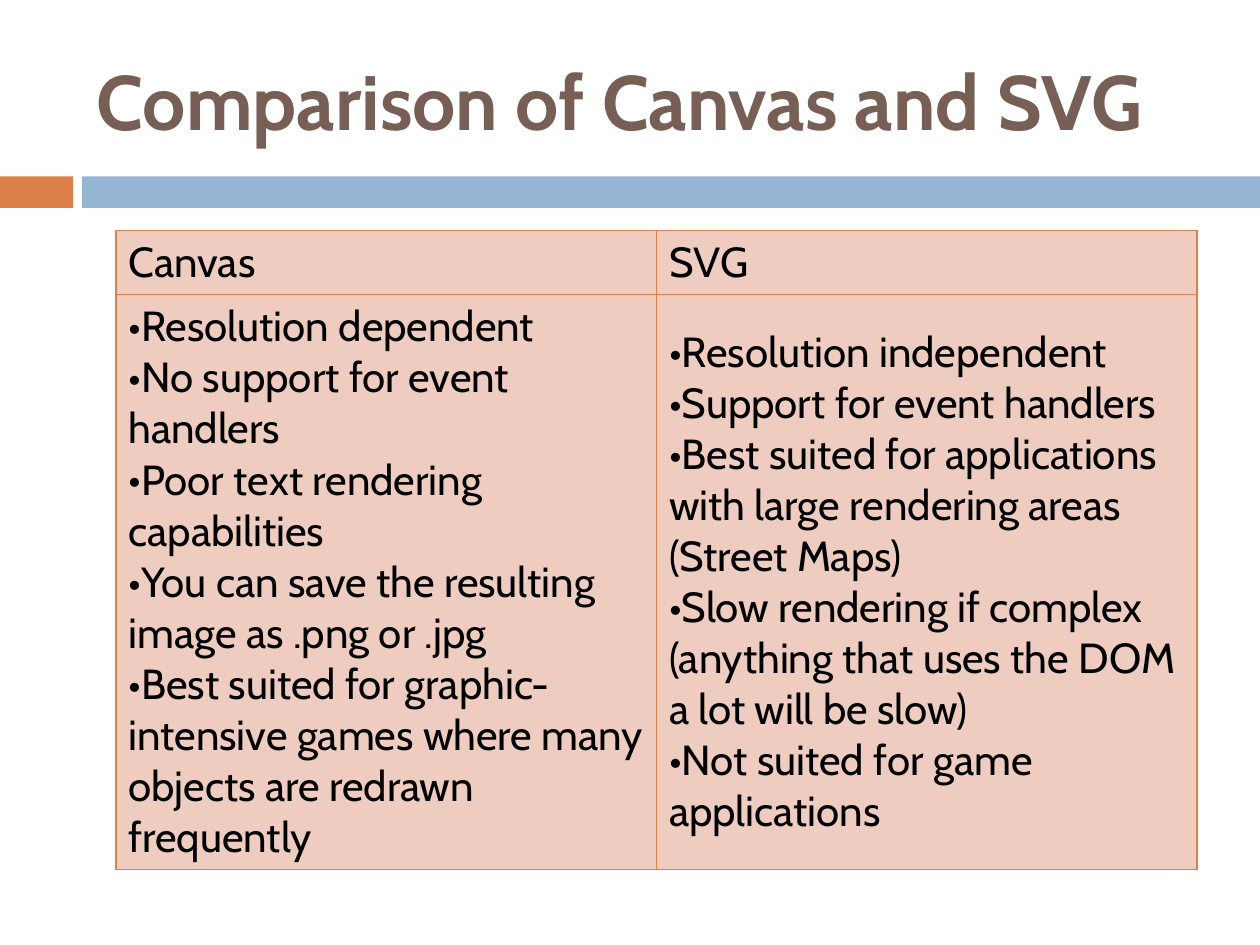
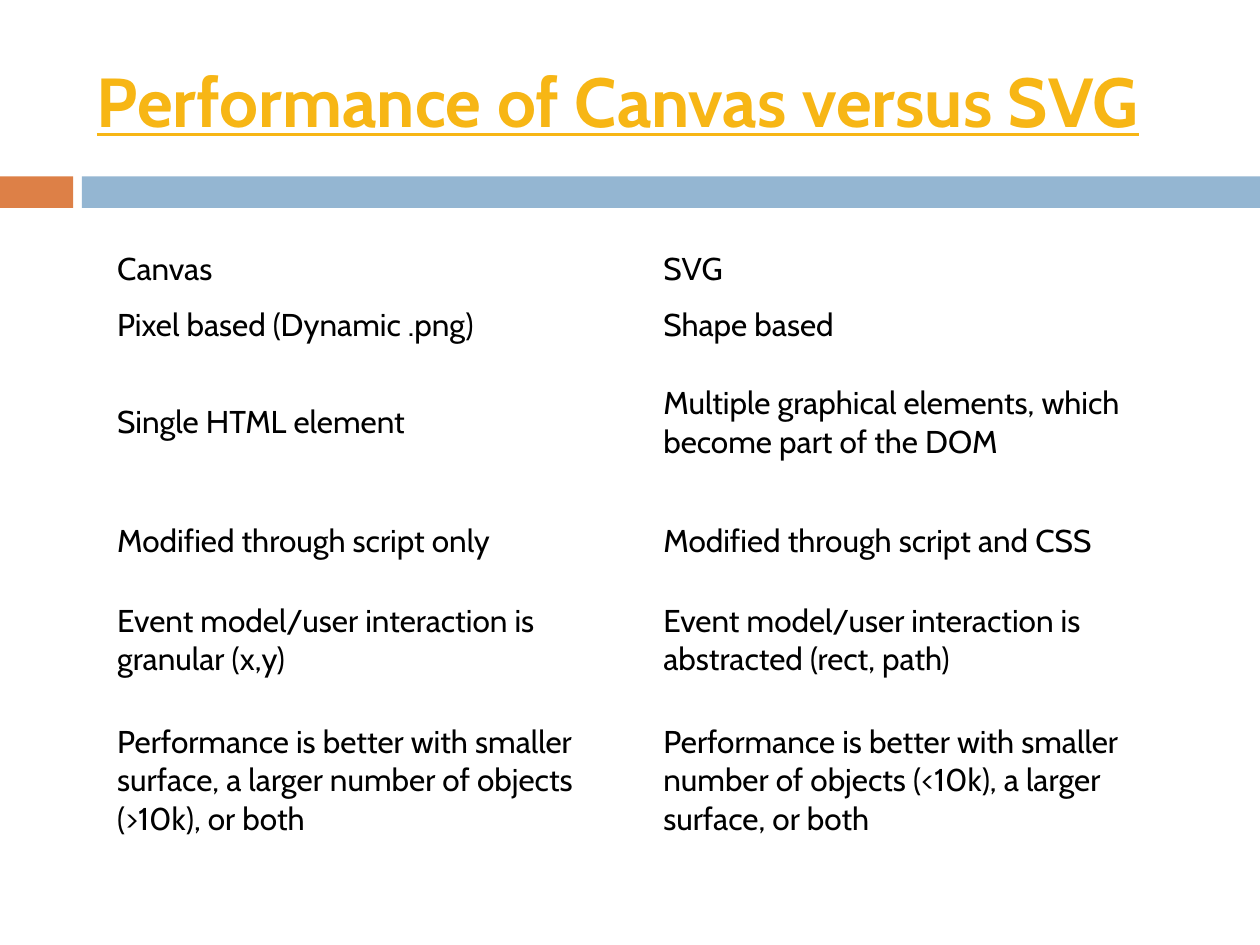
import pptx
import pptx.util
import pptx.dml.color
import pptx.enum.shapes
import pptx.enum.text
import pptx.oxml
import pptx.oxml.ns

Inches, Pt = pptx.util.Inches, pptx.util.Pt
RGBColor = pptx.dml.color.RGBColor
MIDDLE = pptx.enum.text.MSO_ANCHOR.MIDDLE

FONT = "Cabin"
ORANGE = RGBColor(0xDD, 0x80, 0x47)
BLUE = RGBColor(0x94, 0xB6, 0xD2)
BROWN = RGBColor(0x77, 0x5F, 0x55)
GOLD = RGBColor(0xF7, 0xB6, 0x15)
PINK = RGBColor(0xEE, 0xCC, 0xC0)
BLACK = RGBColor(0, 0, 0)

BANDS = [(0, 0.58, ORANGE), (0.65, 9.35, BLUE)]  # left, width, colour

# A cell is one string, or a list of bullet points.
SLIDES = [
    {
        "title": "Comparison of Canvas and SVG",
        "title_format": {"size": 44, "color": BROWN},
        "rows": [
            ("Canvas", "SVG"),
            (
                [
                    "Resolution dependent",
                    "No support for event handlers",
                    "Poor text rendering capabilities",
                    "You can save the resulting image as .png or .jpg",
                    "Best suited for graphic-intensive games where many "
                    "objects are redrawn frequently",
                ],
                [
                    "Resolution independent",
                    "Support for event handlers",
                    "Best suited for applications with large rendering areas "
                    "(Street Maps)",
                    "Slow rendering if complex (anything that uses the DOM "
                    "a lot will be slow)",
                    "Not suited for game applications",
                ],
            ),
        ],
        "table": {"left": 0.92, "top": 1.83, "width": 8.58,
                  "heights": [0.51, 4.56], "size": 24,
                  "fill": PINK, "border": ORANGE},
    },
    {
        "title": "Performance of Canvas versus SVG",
        "title_format": {"size": 39.6, "color": GOLD, "underline": True},
        "rows": [
            ("Canvas", "SVG"),
            ("Pixel based (Dynamic .png)", "Shape based"),
            ("Single HTML element",
             "Multiple graphical elements, which become part of the DOM"),
            ("Modified through script only", "Modified through script and CSS"),
            ("Event model/user interaction is granular (x,y)",
             "Event model/user interaction is abstracted (rect, path)"),
            ("Performance is better with smaller surface, a larger number "
             "of objects (>10k), or both",
             "Performance is better with smaller number of objects (<10k), "
             "a larger surface, or both"),
        ],
        "table": {"left": 0.83, "top": 1.92, "width": 8.67,
                  "heights": [0.44, 0.44, 1.11, 0.78, 0.78, 1.45], "size": 18},
    },
]


def add_bullet(p):
    pPr = p._p.get_or_add_pPr()
    pPr.set("marL", "0")
    pPr.set("indent", "0")
    for element in (f'buFont {pptx.oxml.ns.nsdecls("a")} typeface="{FONT}"',
                    f'buChar {pptx.oxml.ns.nsdecls("a")} char="•"'):
        pPr.append(pptx.oxml.parse_xml(f"<a:{element}/>"))


def write(tf, text, size, color=BLACK, bold=False, underline=False):
    """Fill a text frame with one string or a list of bullet points."""
    bulleted = isinstance(text, list)
    for i, line in enumerate(text if bulleted else [text]):
        p = tf.add_paragraph() if i else tf.paragraphs[0]
        if bulleted:
            add_bullet(p)
        r = p.add_run()
        r.text = line
        r.font.name = FONT
        r.font.size = Pt(size)
        r.font.color.rgb = color
        r.font.bold = bold
        r.font.underline = underline


def add_bands(s):
    for left, width, color in BANDS:
        sp = s.shapes.add_shape(pptx.enum.shapes.MSO_SHAPE.RECTANGLE,
                                Inches(left), Inches(1.4), Inches(width), Inches(0.25))
        sp.shadow.inherit = False
        sp.fill.solid()
        sp.fill.fore_color.rgb = color
        sp.line.fill.background()


def add_title(s, text, **text_format):
    sp = s.shapes.add_textbox(Inches(0.67), Inches(0.25), Inches(8.92), Inches(1.08))
    tf = sp.text_frame
    tf.word_wrap = True
    tf.vertical_anchor = MIDDLE
    write(tf, text, bold=True, **text_format)


def set_borders(cell, color):
    tcPr = cell._tc.get_or_add_tcPr()
    for i, side in enumerate(("lnL", "lnR", "lnT", "lnB")):
        tcPr.insert(i, pptx.oxml.parse_xml(
            f'<a:{side} {pptx.oxml.ns.nsdecls("a")} w="{Pt(0.79)}"><a:solidFill>'
            f'<a:srgbClr val="{color}"/></a:solidFill></a:{side}>'))


def add_table(s, rows, left, top, width, heights, size, fill=None, border=None):
    columns = len(rows[0])
    table = s.shapes.add_table(len(rows), columns, Inches(left), Inches(top),
                               Inches(width), Inches(sum(heights))).table
    table.first_row = table.horz_banding = False
    for column in table.columns:
        column.width = Inches(width / columns)
    for i, (texts, height) in enumerate(zip(rows, heights)):
        table.rows[i].height = Inches(height)
        for j, text in enumerate(texts):
            cell = table.cell(i, j)
            cell.vertical_anchor = MIDDLE
            if fill:
                cell.fill.solid()
                cell.fill.fore_color.rgb = fill
            else:
                cell.fill.background()
            if border:
                set_borders(cell, border)
            write(cell.text_frame, text, size)


def main():
    prs = pptx.Presentation()
    prs.slide_width, prs.slide_height = Inches(10), Inches(7.5)
    for content in SLIDES:
        s = prs.slides.add_slide(prs.slide_layouts[6])
        add_bands(s)
        add_title(s, content["title"], **content["title_format"])
        add_table(s, content["rows"], **content["table"])
    prs.save("out.pptx")


if __name__ == "__main__":
    main()
